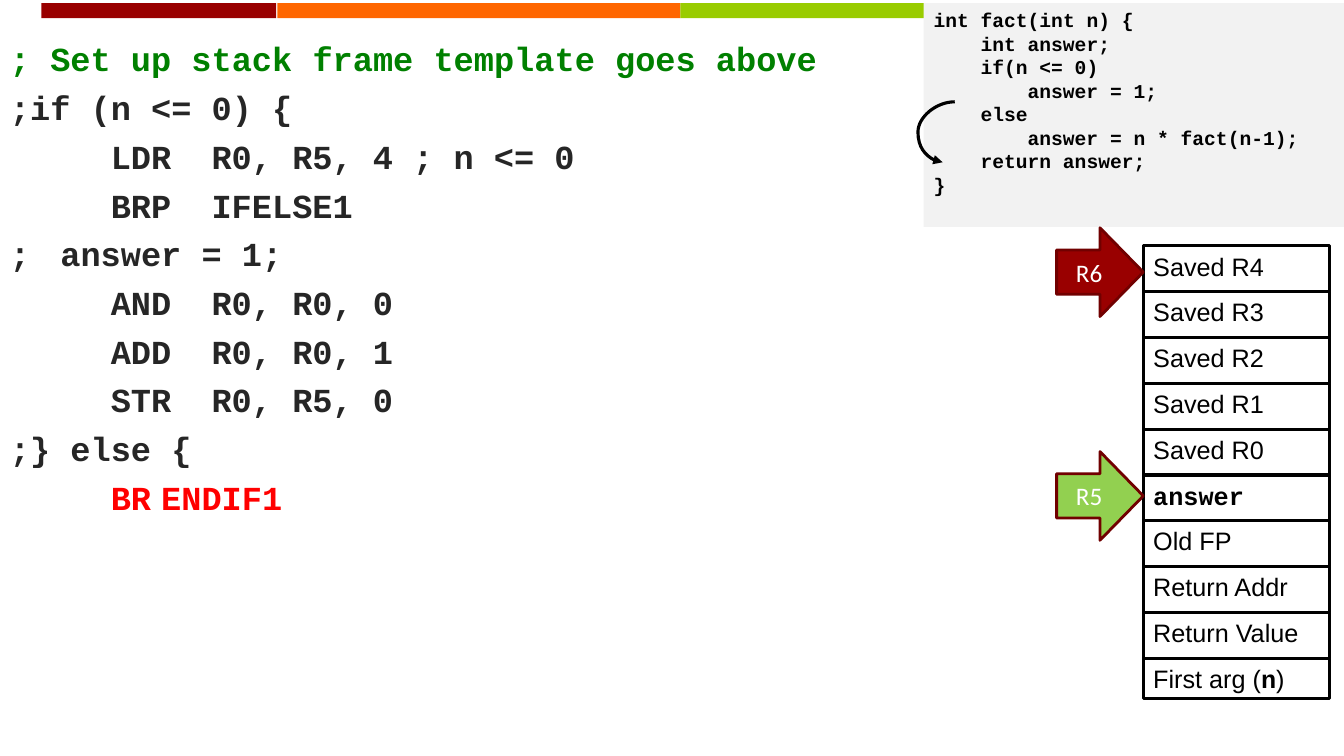
from lxml import etree
from pptx import Presentation
from pptx.dml.color import RGBColor
from pptx.enum.shapes import MSO_CONNECTOR, MSO_SHAPE
from pptx.enum.text import MSO_ANCHOR, PP_ALIGN
from pptx.oxml.ns import qn
from pptx.util import Inches, Pt

RECT, ARROW = MSO_SHAPE.RECTANGLE, MSO_SHAPE.RIGHT_ARROW
CURVE = MSO_CONNECTOR.CURVE
TOP, MIDDLE = MSO_ANCHOR.TOP, MSO_ANCHOR.MIDDLE
LEFT, CENTER = PP_ALIGN.LEFT, PP_ALIGN.CENTER

WIDTH, HEIGHT = Inches(13.33), Inches(7.5)
MONO, SANS, LABEL = "Courier New", "Arial", "Calibri"
COLORS = {
    "maroon": "990000", "orange": "FF6600", "lime": "99CC00",
    "edge": "710000", "green": "92D050", "comment": "008000",
    "code": "262626", "current": "FF0000", "panel": "F2F2F2",
    "black": "000000", "white": "FFFFFF",
}

BARS = [("maroon", 3.08, 17.48), ("orange", 20.63, 30), ("lime", 50.63, 46.27)]
ASSEMBLY = [
    ("; Set up stack frame template goes above", "comment"),
    (";if (n <= 0) {", "code"),
    ("\t\tLDR\tR0, R5, 4\t; n <= 0", "code"),
    ("\t\tBRP\tIFELSE1", "code"),
    (";\tanswer = 1;", "code"),
    ("\t\tAND\tR0, R0, 0", "code"),
    ("\t\tADD\tR0, R0, 1", "code"),
    ("\t\tSTR\tR0, R5, 0", "code"),
    (";} else {", "code"),
    ("\t\tBR\tENDIF1", "current"),
]
SOURCE = [
    (0, "int fact(int n) {"), (1, "int answer;"), (1, "if(n <= 0)"),
    (2, "answer = 1;"), (1, "else"), (2, "answer = n * fact(n-1);"),
    (1, "return answer;"), (0, "}"),
]
STACK = [
    [("Saved R4", SANS)], [("Saved R3", SANS)], [("Saved R2", SANS)],
    [("Saved R1", SANS)], [("Saved R0", SANS)], [("answer", MONO)],
    [("Old FP", SANS)], [("Return Addr", SANS)], [("Return Value", SANS)],
    [("First arg (", SANS), ("n", MONO), (")", SANS)],
]
POINTERS = [("R6", 30.13, "maroon"), ("R5", 59.73, "green")]
STACK_LEFT, STACK_TOP, STACK_WIDTH, SLOT = 85.07, 32.53, 13.88, 6.06
LAST_SLOT = 5.33
INDENT = Pt(33.6)


def rgb(name):
    return RGBColor.from_string(COLORS[name])


def share(x, y):
    return int(WIDTH * x / 100), int(HEIGHT * y / 100)


def add_run(p, text, font, size, color, bold=False):
    r = p.add_run()
    r.text = text
    r.font.name, r.font.size, r.font.bold = font, Pt(size), bold
    r.font.color.rgb = rgb(color)


def add_box(s, kind, x, y, w, h, fill=None, line=None, weight=2.25):
    sp = s.shapes.add_shape(kind, *share(x, y), *share(w, h))
    sp.shadow.inherit = False
    if fill:
        sp.fill.solid()
        sp.fill.fore_color.rgb = rgb(fill)
    else:
        sp.fill.background()
    if line:
        sp.line.color.rgb = rgb(line)
        sp.line.width = Pt(weight)
    else:
        sp.line.fill.background()
    sp.text_frame.word_wrap = True
    sp.text_frame.vertical_anchor = TOP
    sp.text_frame.paragraphs[0].alignment = LEFT
    return sp


def next_paragraph(tf, index):
    p = tf.add_paragraph() if index else tf.paragraphs[0]
    p.alignment = LEFT
    return p


def add_assembly(s):
    tf = s.shapes.add_textbox(*share(0, 4.4), *share(65.27, 91.73)).text_frame
    tf.word_wrap = True
    for i, (text, color) in enumerate(ASSEMBLY):
        p = next_paragraph(tf, i)
        p.space_before = Pt(6)
        add_run(p, text, MONO, 24, color, True)


def add_source(s):
    tf = add_box(s, RECT, 68.72, 0.4, 31.28, 29.6, "panel").text_frame
    for i, (level, text) in enumerate(SOURCE):
        p = next_paragraph(tf, i)
        p._p.get_or_add_pPr().set("marL", str(level * INDENT))
        add_run(p, text, MONO, 14, "black", True)


def add_stack(s):
    for i, parts in enumerate(STACK):
        height = LAST_SLOT if i == len(STACK) - 1 else SLOT
        sp = add_box(s, RECT, STACK_LEFT, STACK_TOP + i * SLOT,
                     STACK_WIDTH, height, line="black")
        for text, font in parts:
            add_run(sp.text_frame.paragraphs[0], text, font, 18, "black",
                    font == MONO)


def add_pointer(s, name, y, fill):
    sp = add_box(s, ARROW, 78.62, y, 6.45, 11.73, fill, "edge", 2)
    sp.text_frame.vertical_anchor = MIDDLE
    p = sp.text_frame.paragraphs[0]
    p.alignment = CENTER
    add_run(p, name, LABEL, 18, "white")


def add_jump(s):
    c = s.shapes.add_connector(CURVE, *share(71.04, 13.47), *share(70.14, 21.47))
    c.line.color.rgb = rgb("black")
    c.line.width = Pt(2.25)
    etree.SubElement(c.line._get_or_add_ln(), qn("a:tailEnd"), type="triangle")
    props = c._element.spPr
    etree.SubElement(props, qn("a:effectLst"))
    guides = props.find(qn("a:prstGeom")).get_or_add_avLst()
    etree.SubElement(guides, qn("a:gd"), name="adj1", fmla="val 304000")


def main():
    prs = Presentation()
    prs.slide_width, prs.slide_height = WIDTH, HEIGHT
    s = prs.slides.add_slide(prs.slide_layouts[6])
    for color, x, w in BARS:
        add_box(s, RECT, x, 0.4, w, 2, color)
    add_assembly(s)
    add_source(s)
    add_jump(s)
    add_stack(s)
    for name, y, fill in POINTERS:
        add_pointer(s, name, y, fill)
    prs.save("out.pptx")


if __name__ == "__main__":
    main()
